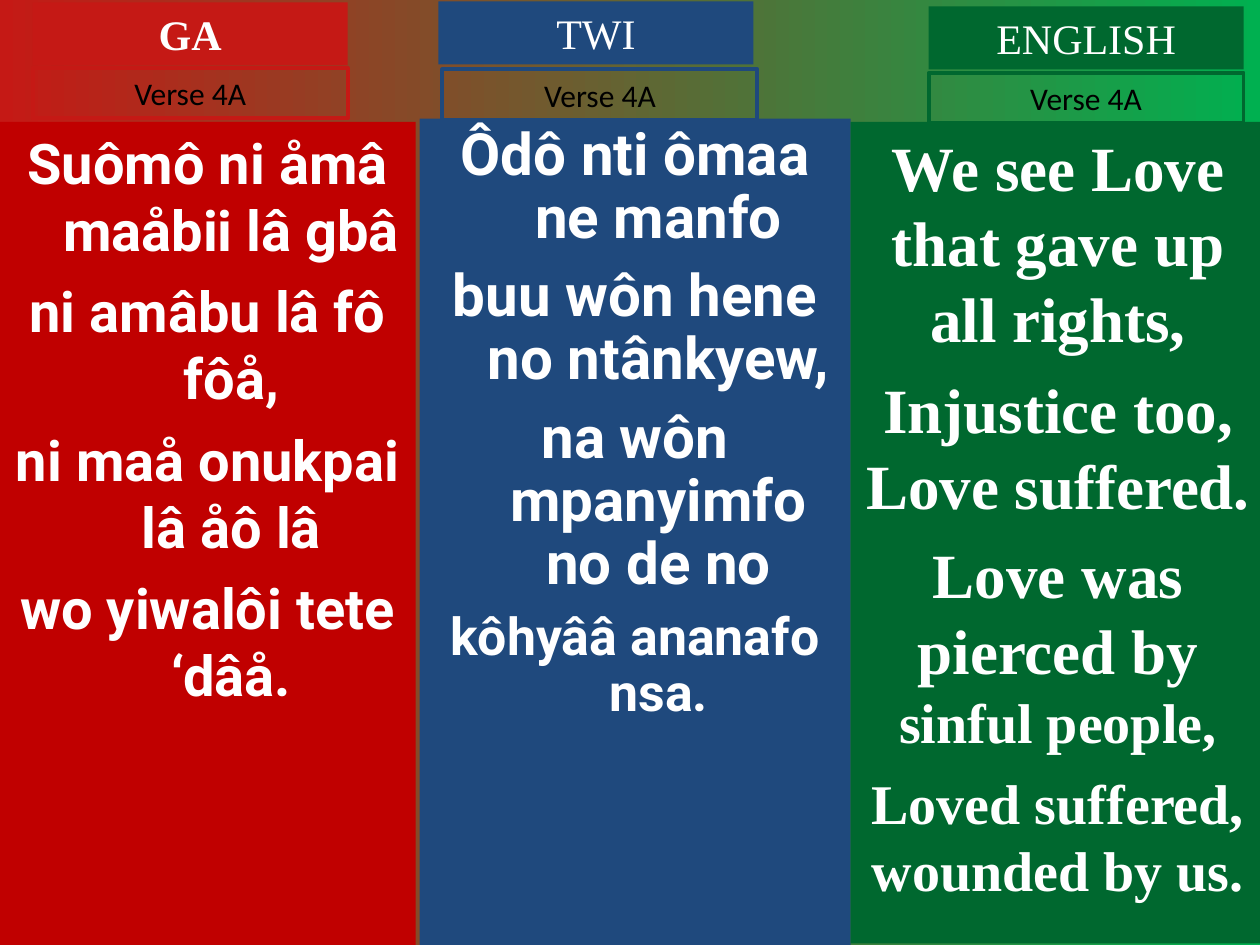
from pptx import Presentation
from pptx import util as u
from pptx.dml.color import RGBColor
from pptx.enum import shapes, text

COLOURS = {
    "red": "C00000", "bright_red": "C51915", "blue": "1F497D",
    "green": "00682F", "light_green": "00B050",
    "white": "FFFFFF", "black": "000000",
}
SERIF, SANS, LYRIC = "Times New Roman", "Calibri", "Roboto"
HANGING = 0.95


def colour(name):
    return RGBColor.from_string(COLOURS[name])


class HymnSlide:
    """Holds the style and the current slide."""

    label_width, title_height, verse_height = 6.35, 1.27, 1.02

    def __init__(self, deck):
        self.page = deck.slides.add_slide(deck.slide_layouts[6])

    def background(self, left, right):
        fill = self.page.background.fill
        fill.gradient()
        fill.gradient_angle = 0
        for stop, name in zip(fill.gradient_stops, (left, right)):
            stop.color.rgb = colour(name)

    def box(self, place, fill=None, line=None):
        box = self.page.shapes.add_shape(
            shapes.MSO_SHAPE.RECTANGLE, *(u.Cm(length) for length in place))
        box.shadow.inherit = False
        if fill:
            box.fill.solid()
            box.fill.fore_color.rgb = colour(fill)
        else:
            box.fill.background()
        if line:
            box.line.color.rgb = colour(line)
            box.line.width = u.Pt(2.25)
        else:
            box.line.fill.background()
        box.text_frame.word_wrap = True
        box.text_frame.vertical_anchor = text.MSO_ANCHOR.TOP
        return box

    def span(self, para, words, size, font, ink, bold=False):
        para.alignment = text.PP_ALIGN.CENTER
        span = para.add_run()
        span.text = words
        span.font.size = u.Pt(size)
        span.font.name = font
        span.font.bold = bold
        span.font.color.rgb = colour(ink)

    def title(self, left, top, words, fill, bold=False):
        box = self.box((left, top, self.label_width, self.title_height), fill)
        self.span(box.text_frame.paragraphs[0], words, 24, SERIF, "white", bold)

    def verse_label(self, left, top, words, line):
        box = self.box((left, top, self.label_width, self.verse_height), line=line)
        self.span(box.text_frame.paragraphs[0], words, 18, SANS, "black")

    def lyrics(self, place, fill, font, lines, hanging=0, spacing=None):
        """Each line is (space before, [(words, size), ...])."""
        frame = self.box(place, fill).text_frame
        for number, (before, spans) in enumerate(lines):
            para = frame.add_paragraph() if number else frame.paragraphs[0]
            if hanging:
                properties = para._p.get_or_add_pPr()
                properties.set("marL", str(u.Cm(hanging)))
                properties.set("indent", str(-u.Cm(hanging)))
            if spacing:
                para.line_spacing = spacing
            if number:
                para.space_before = u.Pt(before)
            for words, size in spans:
                self.span(para, words, size, font, "white", bold=True)


def main():
    deck = Presentation()
    deck.slide_width, deck.slide_height = u.Cm(25.4), u.Cm(19.05)
    slide = HymnSlide(deck)
    slide.background("bright_red", "light_green")

    # Ga and Twi lyrics
    ga = ["Suômô ni åmâ maåbii lâ gbâ", "ni amâbu lâ fô fôå,",
          "ni maå onukpai lâ åô lâ", "wo yiwalôi tete ‘dâå."]
    slide.lyrics((0, 2.46, 8.38, 16.59), "red", LYRIC,
                 [(8, [(words, 32)]) for words in ga], HANGING)
    twi = [("Ôdô nti ômaa ne manfo", 33.3), ("buu wôn hene no ntânkyew,", 33.3),
           ("na wôn mpanyimfo no de no", 33.3), ("kôhyââ ananafo nsa.", 29.6)]
    slide.lyrics((8.46, 2.39, 8.69, 16.66), "blue", LYRIC,
                 [(9 if size > 30 else 8, [(words, size)]) for words, size in twi],
                 HANGING, 0.9)

    # Ga and Twi headings
    slide.title(0.66, 0.05, "GA", "bright_red", bold=True)
    slide.title(8.84, 0.03, "TWI", "blue")
    slide.verse_label(0.66, 1.37, "Verse 4A", "bright_red")
    slide.verse_label(8.92, 1.4, "Verse 4A", "blue")

    # English column
    slide.lyrics((17.15, 2.46, 8.36, 16.56), "green", SERIF, [
        (9, [("We see Love that gave up all rights,", 36)]),
        (9, [("Injustice too, Love suffered.", 36)]),
        (8, [("Love was pierced by ", 36), ("sinful people,", 32)]),
        (8, [("Loved suffered, wounded by us.", 32)]),
    ])
    slide.title(18.72, 0.13, "ENGLISH", "green")
    slide.verse_label(18.72, 1.47, "Verse 4A", "green")

    deck.save("out.pptx")


if __name__ == "__main__":
    main()
